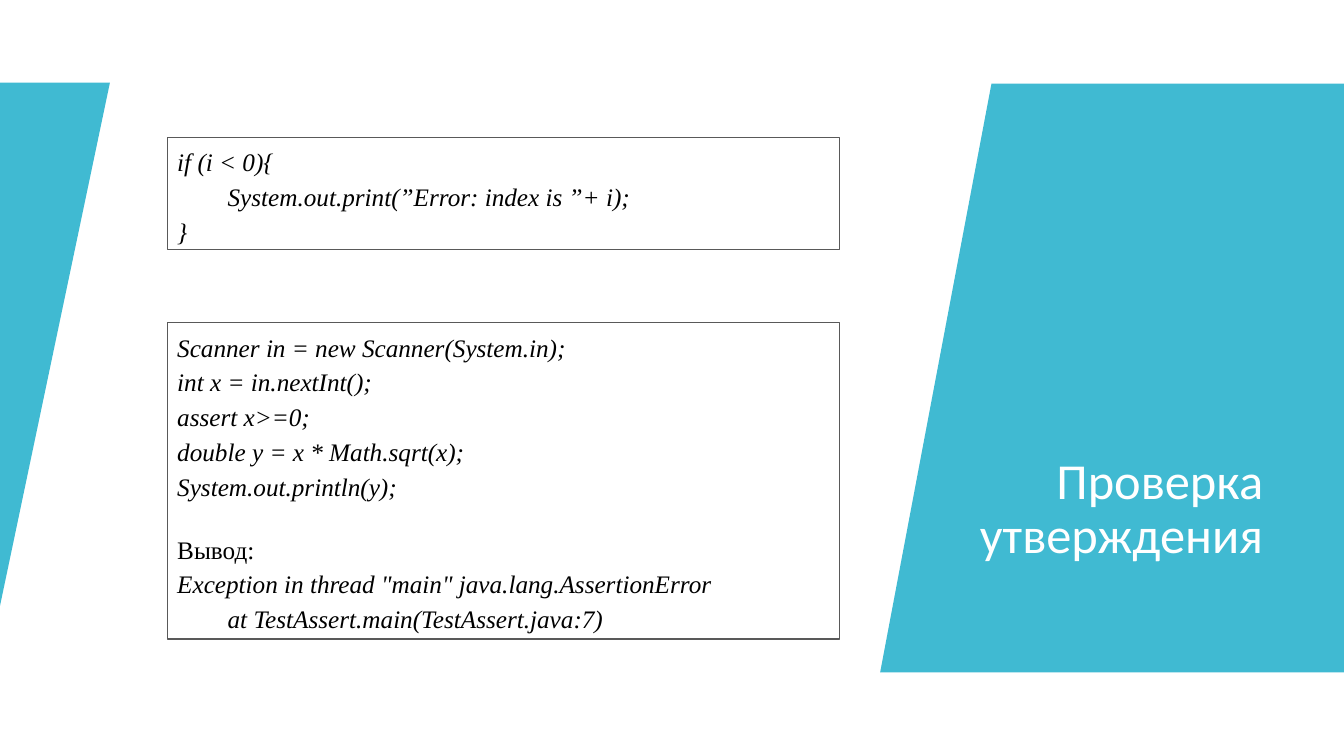
from pptx import Presentation, util as u
from pptx.dml.color import RGBColor
from pptx.enum import shapes, text

COLORS = {"teal": "40BAD2", "white": "FFFFFF", "border": "595959", "code": "000000"}
INDENT = u.Inches(0.5)
SECTION_GAP = u.Pt(20)

# Each line of code: wording, indented, italic, starts a new section
CHECK_BY_PRINT = [
    ("if (i < 0){", False, True, False),
    ("System.out.print(”Error: index is ”+ i);", True, True, False),
    ("}", False, True, False),
]
CHECK_BY_ASSERT = [
    ("Scanner in = new Scanner(System.in);", False, True, False),
    ("int x = in.nextInt();", False, True, False),
    ("assert x>=0;", False, True, False),
    ("double y = x * Math.sqrt(x);", False, True, False),
    ("System.out.println(y);", False, True, False),
    ("Вывод:", False, False, True),
    ('Exception in thread "main" java.lang.AssertionError', False, True, False),
    ("at TestAssert.main(TestAssert.java:7)", True, True, False),
]


def color(name):
    return RGBColor.from_string(COLORS[name])


def format_font(paragraph, name, size, color_name, italic=False):
    for run in paragraph.runs:
        run.font.name = name
        run.font.size = u.Pt(size)
        run.font.italic = italic
        run.font.color.rgb = color(color_name)


def add_panel(slide, left, top, width, height, corners):
    """Draw a teal panel; corners are fractions of its box."""
    points = [(u.Inches(left + x * width), u.Inches(top + y * height)) for x, y in corners]
    builder = slide.shapes.build_freeform(*points[0])
    builder.add_line_segments(points[1:], close=True)
    panel = builder.convert_to_shape()
    panel.shadow.inherit = False
    panel.fill.solid()
    panel.fill.fore_color.rgb = color("teal")
    panel.line.fill.background()


def add_title(slide, left, top, width, height, wording):
    title = slide.shapes.title
    title.left, title.top = u.Inches(left), u.Inches(top)
    title.width, title.height = u.Inches(width), u.Inches(height)
    frame = title.text_frame
    frame.text = wording
    frame.word_wrap = True
    frame.auto_size = text.MSO_AUTO_SIZE.NONE
    frame.vertical_anchor = text.MSO_ANCHOR.TOP
    paragraph = frame.paragraphs[0]
    paragraph.alignment = text.PP_ALIGN.RIGHT
    paragraph.line_spacing = 0.9
    format_font(paragraph, "Calibri", 36, "white")
    slide.shapes._spTree.append(title._element)  # bring in front of the panel


def add_code_box(slide, left, top, width, height, lines):
    box = slide.shapes.add_shape(
        shapes.MSO_SHAPE.RECTANGLE,
        u.Inches(left), u.Inches(top), u.Inches(width), u.Inches(height))
    box.shadow.inherit = False
    box.fill.background()
    box.line.color.rgb = color("border")
    box.line.width = u.Pt(0.75)
    frame = box.text_frame
    frame.word_wrap = True
    frame.vertical_anchor = text.MSO_ANCHOR.TOP
    frame.text = "\n".join(line[0] for line in lines)
    for paragraph, (_, indented, italic, new_section) in zip(frame.paragraphs, lines):
        paragraph.alignment = text.PP_ALIGN.JUSTIFY
        paragraph.line_spacing = 1.15
        if indented:
            paragraph._p.get_or_add_pPr().set("marL", str(INDENT))
        if new_section:
            paragraph.space_before = SECTION_GAP
        format_font(paragraph, "Times New Roman", 18, "code", italic)


def main():
    deck = Presentation()
    deck.slide_width, deck.slide_height = u.Inches(13.33), u.Inches(7.5)
    slide = deck.slides.add_slide(deck.slide_layouts[5])
    slide.background.fill.solid()
    slide.background.fill.fore_color.rgb = color("white")

    add_panel(slide, 0, 0.82, 1.09, 5.19, [(0, 0), (1, 0), (0, 1)])
    add_panel(slide, 8.73, 0.83, 4.6, 5.84, [(0.24, 0), (1, 0), (1, 1), (0, 1)])
    add_title(slide, 9.33, 4.47, 3.3, 1.87, "Проверка утверждения")
    add_code_box(slide, 1.66, 1.36, 6.67, 1.12, CHECK_BY_PRINT)
    add_code_box(slide, 1.66, 3.2, 6.67, 3.14, CHECK_BY_ASSERT)
    deck.save("out.pptx")


if __name__ == "__main__":
    main()
